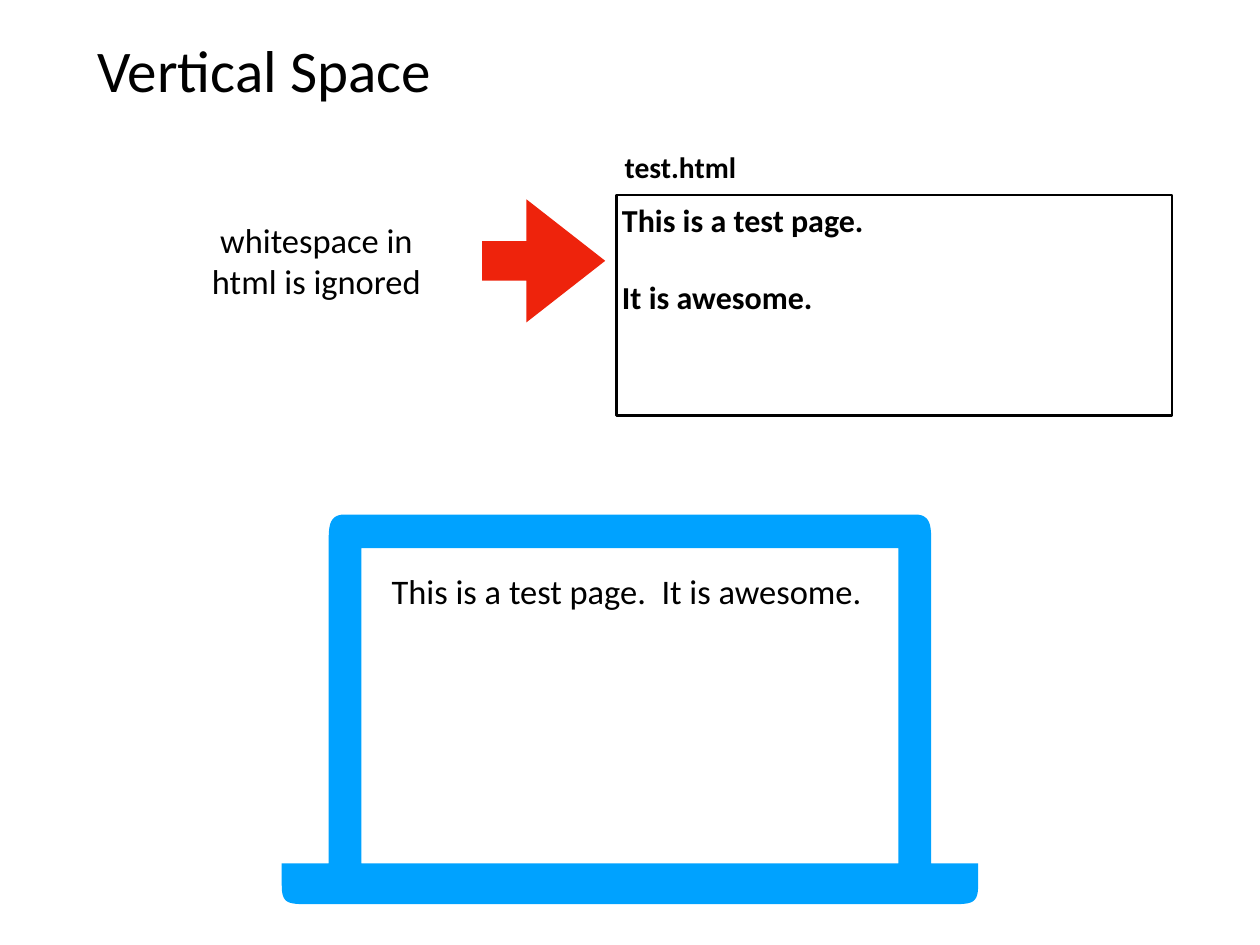
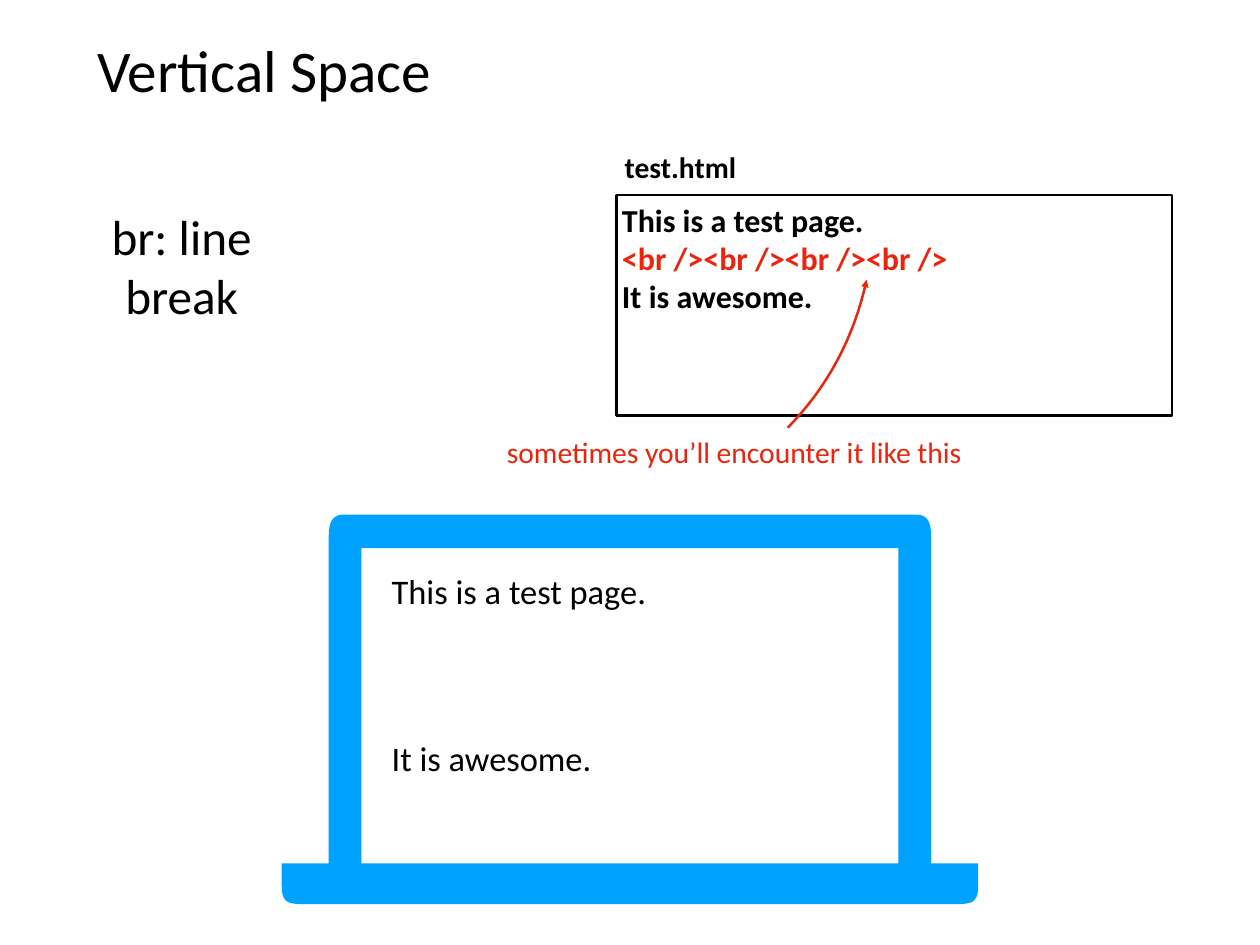
from lxml.etree import SubElement
from pptx import Presentation
from pptx.dml.color import RGBColor
from pptx.enum.shapes import MSO_SHAPE
from pptx.enum.text import MSO_ANCHOR, PP_ALIGN
from pptx.oxml.ns import qn
from pptx.util import Inches, Pt

BLACK, WHITE, RED, BLUE = "000000", "FFFFFF", "EE230C", "00A2FF"
FONT = "Calibri"
INSET = 0.06
WIDTH, HEIGHT = 14.22, 10.67


def color(value):
    return RGBColor.from_string(value)


def curve(start, first, second, end, steps=16):
    points = []
    for step in range(steps + 1):
        t = step / steps
        weights = ((1 - t) ** 3, 3 * t * (1 - t) ** 2, 3 * t**2 * (1 - t), t**3)
        corners = (start, first, second, end)
        points.append(tuple(sum(w * corner[axis] for w, corner in zip(weights, corners))
                            for axis in (0, 1)))
    return points


class Deck:
    """Holds the shared style and the current slide."""

    def __init__(self):
        self.deck = Presentation()
        self.deck.slide_width = Inches(WIDTH)
        self.deck.slide_height = Inches(HEIGHT)
        self.page = None

    def add_page(self, title):
        self.page = self.deck.slides.add_slide(self.deck.slide_layouts[6])
        self.label((1.04, 0.28, 12.14, 0.99), [title], 48, anchor=MSO_ANCHOR.MIDDLE)

    def set_text(self, shape, lines, size, hue=BLACK, bold=False, align=PP_ALIGN.LEFT,
                 anchor=MSO_ANCHOR.TOP, gap=0):
        frame = shape.text_frame
        frame.text = "\n".join(lines)
        frame.word_wrap = True
        frame.vertical_anchor = anchor
        frame.margin_left = frame.margin_right = Inches(INSET)
        frame.margin_top = frame.margin_bottom = Inches(INSET)
        for number, paragraph in enumerate(frame.paragraphs):
            paragraph.alignment = align
            if number and gap:
                paragraph.space_before = Pt(gap)
            for span in paragraph.runs:
                span.font.name = FONT
                span.font.size = Pt(size)
                span.font.bold = bold
                span.font.color.rgb = color(hue)

    def label(self, place, lines, size, **style):
        box = self.page.shapes.add_textbox(*map(Inches, place))
        self.set_text(box, lines, size, **style)

    def note(self, place, lines, size, hue=BLACK):
        self.label(place, lines, size, hue=hue, align=PP_ALIGN.CENTER,
                   anchor=MSO_ANCHOR.MIDDLE)

    def shape(self, kind, place, fill):
        shape = self.page.shapes.add_shape(kind, *map(Inches, place))
        shape.shadow.inherit = False
        shape.fill.solid()
        shape.fill.fore_color.rgb = color(fill)
        shape.line.fill.background()
        return shape

    def outline(self, contours, closed=True):
        scaled = [[(Inches(x), Inches(y)) for x, y in contour] for contour in contours]
        builder = self.page.shapes.build_freeform(*scaled[0][0])
        for number, contour in enumerate(scaled):
            if number:
                builder.move_to(*contour[0])
            builder.add_line_segments(contour[1:], close=closed)
        shape = builder.convert_to_shape()
        shape.shadow.inherit = False
        return shape

    def source_file(self, lines, gap=0, tag_line=None):
        box = self.shape(MSO_SHAPE.RECTANGLE, (6.96, 2.2, 6.27, 2.49), WHITE)
        box.line.color.rgb = color(BLACK)
        box.line.width = Pt(2)
        self.set_text(box, lines, 26, bold=True, gap=gap)
        if tag_line is not None:
            for span in box.text_frame.paragraphs[tag_line].runs:
                span.font.color.rgb = color(RED)
        self.label((6.99, 1.63, 1.69, 0.5), ["test.html"], 24, bold=True,
                   anchor=MSO_ANCHOR.MIDDLE)

    def laptop(self, lines, gap=0):
        left_side = [
            *curve((3.89, 5.81), (3.7, 5.81), (3.71, 5.97), (3.71, 6.16)),
            (3.71, 9.75),
            *curve((3.18, 9.75), (3.18, 9.75), (3.18, 9.86), (3.18, 9.99)),
            *curve((3.18, 9.99), (3.18, 10.21), (3.25, 10.21), (3.51, 10.21)),
        ]
        right_side = [(WIDTH - x, y) for x, y in reversed(left_side)]
        screen = [(4.08, 6.19), (10.14, 6.19), (10.14, 9.75), (4.08, 9.75)]
        body = self.outline([left_side + right_side, screen])
        body.fill.solid()
        body.fill.fore_color.rgb = color(BLUE)
        body.line.fill.background()
        self.label((4.36, 6.38, 5.62, 2.33), lines, 28, gap=gap)

    def curved_arrow(self, *corners):
        arrow = self.outline([curve(*corners)], closed=False)
        arrow.fill.background()
        arrow.line.color.rgb = color(RED)
        arrow.line.width = Pt(2)
        SubElement(arrow.element.spPr.find(qn("a:ln")), qn("a:tailEnd"), type="triangle")

    def block_arrow(self, place):
        arrow = self.shape(MSO_SHAPE.RIGHT_ARROW, place, RED)
        arrow.adjustments[0] = 0.32
        arrow.adjustments[1] = 0.64


def main():
    deck = Deck()
    first, second = "This is a test page.", "It is awesome."

    deck.add_page("Vertical Space")
    deck.laptop([f"{first}  {second}"])
    deck.source_file([first, second], gap=32)
    deck.note((2.33, 2.44, 2.48, 1), ["whitespace in", "html is ignored"], 28)
    deck.block_arrow((5.44, 2.25, 1.39, 1.39))

    deck.add_page("Vertical Space")
    deck.laptop([first, second], gap=102)
    deck.source_file([first, "<br /><br /><br /><br />", second], tag_line=1)
    deck.note((0.95, 2.27, 2.2, 1.45), ["br: line break"], 40)
    deck.curved_arrow((8.89, 4.83), (9.34, 4.37), (9.64, 3.81), (9.78, 3.16))
    deck.note((5.55, 4.85, 5.47, 0.5), ["sometimes you’ll encounter it like this"], 24, RED)

    deck.deck.save("out.pptx")


if __name__ == "__main__":
    main()
